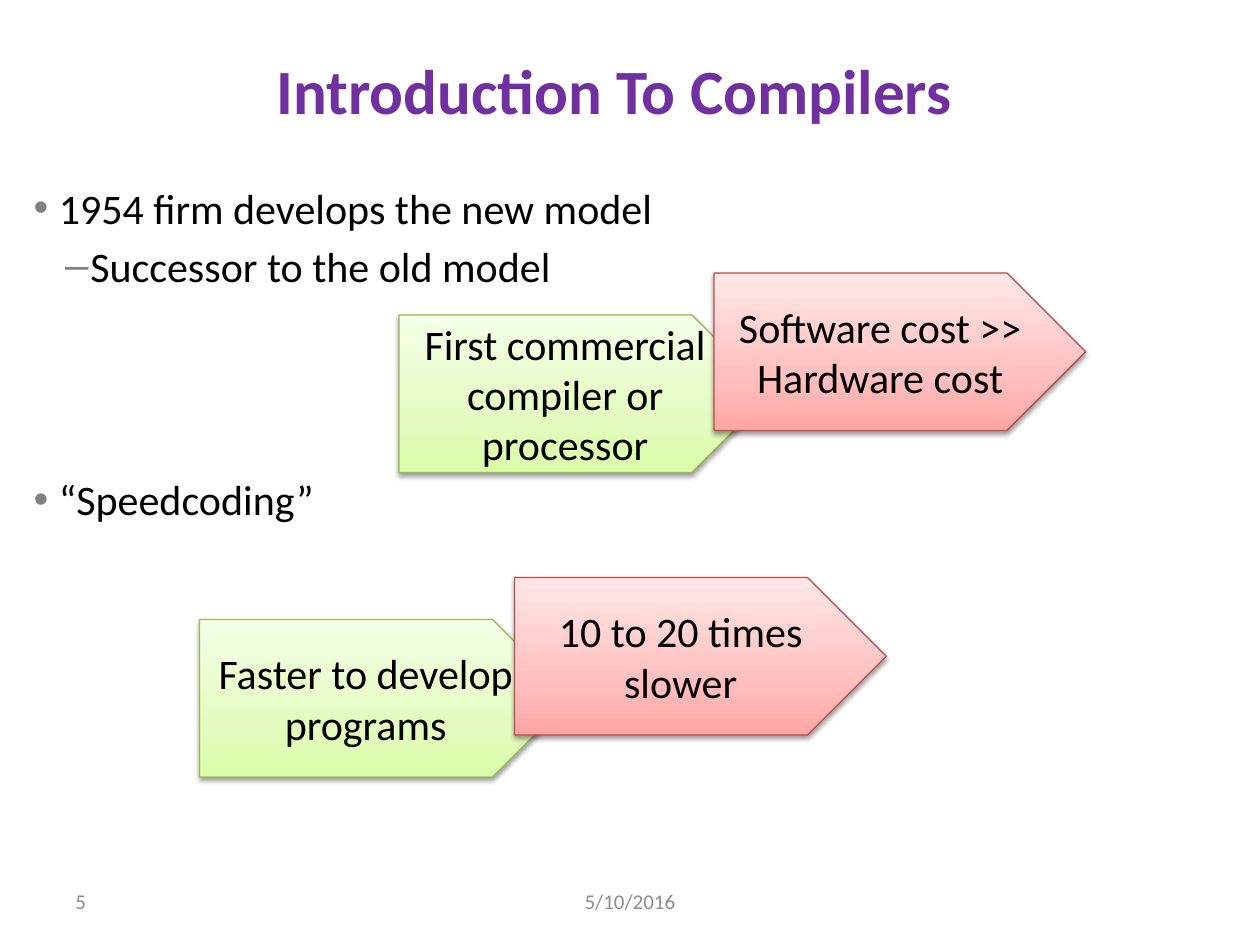
from copy import deepcopy

from lxml import etree
from pptx import Presentation
from pptx import util as u
from pptx.dml.color import RGBColor
from pptx.enum import shapes, text
from pptx.oxml.ns import qn

Pt = u.Pt
color = RGBColor.from_string


def place(shape, left, top, width, height):
    box = {"left": left, "top": top, "width": width, "height": height}
    for name, value in box.items():
        setattr(shape, name, Pt(value))


def write(para, words, size, hex_color, align, bold=False):
    para.alignment = align
    span = para.add_run()
    span.text = words
    look = {"name": "Calibri", "size": Pt(size), "bold": bold}
    for name, value in look.items():
        setattr(span.font, name, value)
    span.font.color.rgb = color(hex_color)


LEFT, CENTER = text.PP_ALIGN.LEFT, text.PP_ALIGN.CENTER

deck = Presentation()
deck.slide_width, deck.slide_height = Pt(720), Pt(540)
page = deck.slides.add_slide(deck.slide_layouts[1])
title, body = page.placeholders

# Title
place(title, 6, 0, 690, 102)
title.text_frame.auto_size = text.MSO_AUTO_SIZE.NONE
write(title.text_frame.paragraphs[0], "Introduction To Compilers", 36,
      "7030A0", CENTER, True)

# Bulleted list: words, level, bullet, left margin, space before
place(body, 12, 100.4, 672, 439.6)
body.text_frame.auto_size = text.MSO_AUTO_SIZE.NONE
items = [
    ("1954 firm develops the new model", 0, "•", 14.4, 0),
    ("Successor to the old model", 1, "–", 32.4, 4.4),
    ("“Speedcoding”", 0, "•", 14.4, 104.8),
]
for number, (words, level, bullet, margin, gap) in enumerate(items):
    frame = body.text_frame
    para = frame.add_paragraph() if number else frame.paragraphs[0]
    para.level, para.space_before = level, Pt(gap)
    props = para._p.get_or_add_pPr()
    props.set("marL", str(Pt(margin)))
    props.set("indent", str(-Pt(14.4)))
    tint = etree.SubElement(props, qn("a:buClr"))
    etree.SubElement(tint, qn("a:srgbClr"), val="808080")
    etree.SubElement(props, qn("a:buFont"), typeface="Arial")
    etree.SubElement(props, qn("a:buChar"), char=bullet)
    write(para, words, 24, "000000", LEFT)

# Date and page number
for words, left, width, align in [("5/10/2016", 246, 228, CENTER),
                                  ("5", 36, 168, LEFT)]:
    box = page.shapes.add_textbox(0, 0, 0, 0)
    place(box, left, 500.4, width, 28.8)
    box.text_frame.word_wrap = True
    box.text_frame.vertical_anchor = text.MSO_ANCHOR.MIDDLE
    write(box.text_frame.paragraphs[0], words, 12, "8C8C8C", align)

# Pairs of arrows: the red one lies up and to the right of the green one
green = (["DAFDA7", "E4FCC2", "F5FFE7"], "98B955", 0, 0)
red = (["FFA6A5", "FFC0BF", "FFE7E7"], "BF4C48", 180, -24)
pairs = [
    (228, 180, "First commercial compiler or processor",
     "Software cost >> Hardware cost"),
    (114, 354, "Faster to develop programs", "10 to 20 times slower"),
]
for left, top, *labels in pairs:
    for words, (shades, edge, right, down) in zip(labels, (green, red)):
        arrow = page.shapes.add_shape(shapes.MSO_SHAPE.PENTAGON, 0, 0, 0, 0)
        place(arrow, left + right, top + down, 212.4, 90)
        arrow.line.color.rgb = color(edge)
        arrow.line.width = Pt(0.75)

        # Three-stop gradient, darkest at the bottom
        arrow.fill.gradient()
        arrow.fill.gradient_angle = 90
        stops = arrow._element.spPr.find(".//" + qn("a:gsLst"))
        stops.append(deepcopy(stops[-1]))
        for stop, shade, position in zip(arrow.fill.gradient_stops, shades,
                                         (0, 0.35, 1)):
            stop.color.rgb = color(shade)
            stop.position = position

        # Soft shadow below
        arrow.shadow.inherit = False
        effects = arrow._element.spPr.find(qn("a:effectLst"))
        shadow = etree.SubElement(
            effects, qn("a:outerShdw"), blurRad=str(Pt(3.1)),
            dist=str(Pt(1.6)), dir="5400000", rotWithShape="0")
        black = etree.SubElement(shadow, qn("a:srgbClr"), val="000000")
        etree.SubElement(black, qn("a:alpha"), val="38000")

        arrow.text_frame.word_wrap = True
        arrow.text_frame.vertical_anchor = text.MSO_ANCHOR.MIDDLE
        write(arrow.text_frame.paragraphs[0], words, 24, "000000", CENTER)

deck.save("out.pptx")
